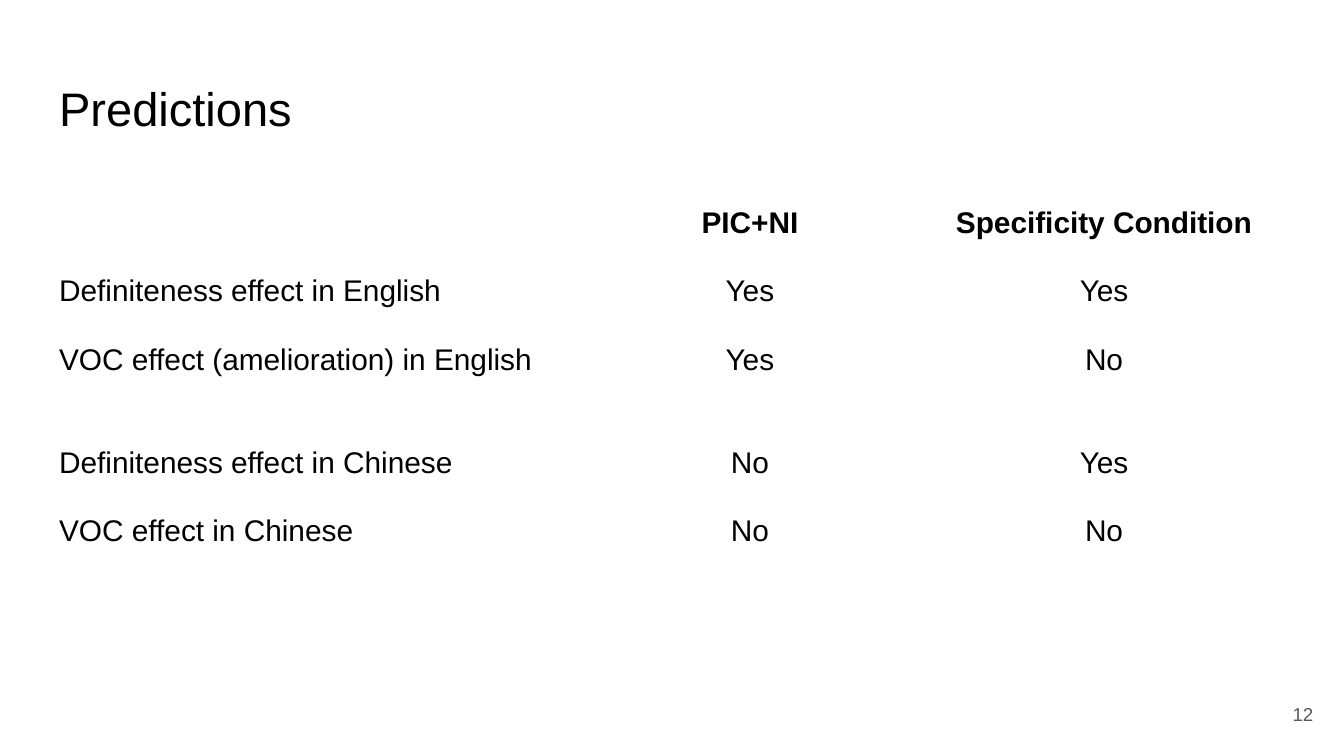
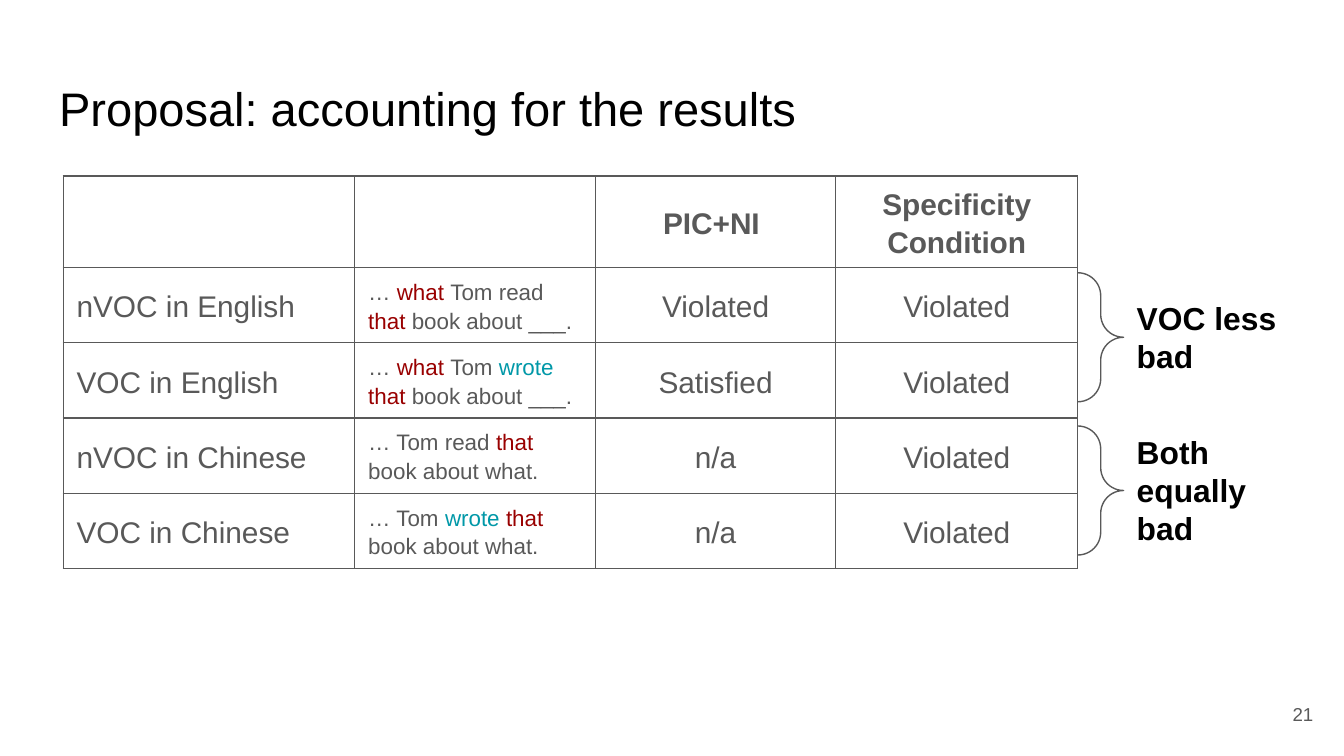
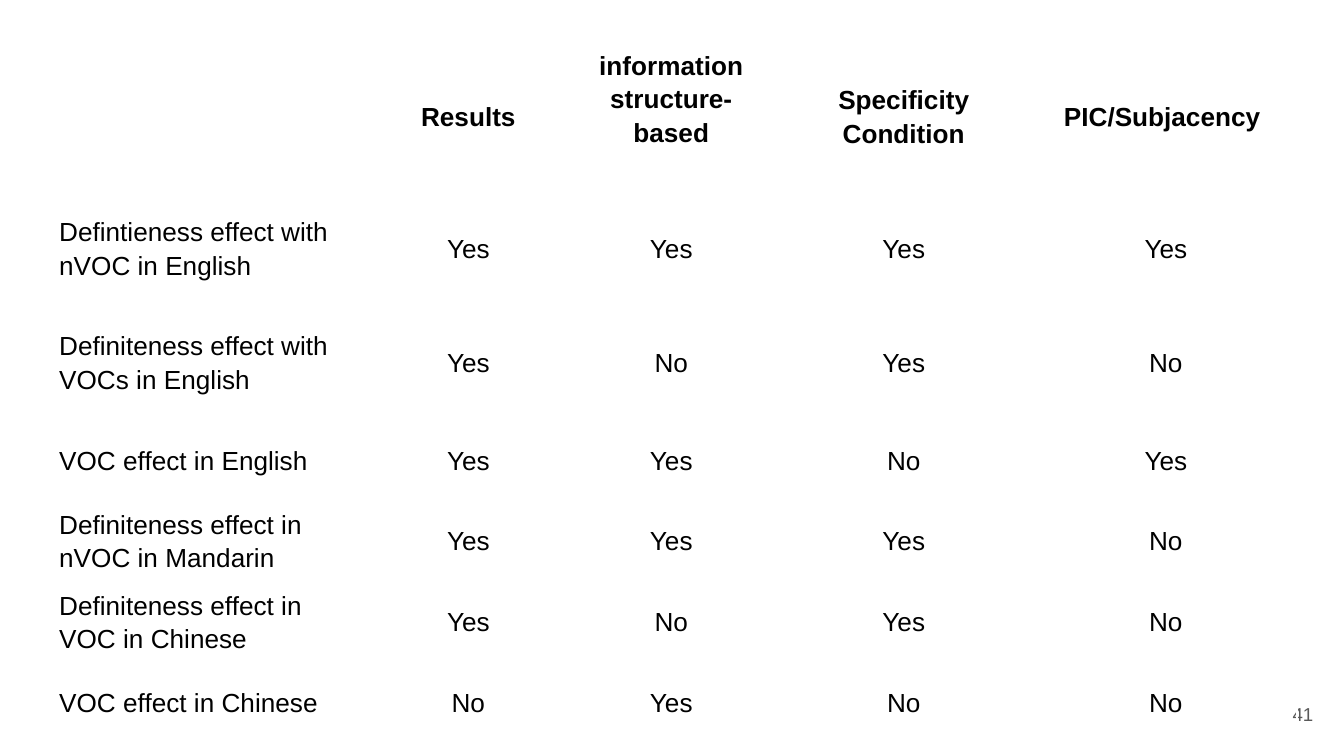
from lxml.etree import SubElement
from pptx import Presentation
from pptx.dml.color import RGBColor
from pptx.enum.shapes import MSO_SHAPE
from pptx.enum.text import MSO_ANCHOR, MSO_AUTO_SIZE, PP_ALIGN
from pptx.oxml.ns import qn
from pptx.util import Pt

PX = 9144  # 100 px to the inch
FONT = "Arial"
HUES = {"ink": "000000", "gray": "595959", "red": "990000",
        "teal": "0098A8", "white": "FFFFFF"}
LEFT, MID, RIGHT = PP_ALIGN.LEFT, PP_ALIGN.CENTER, PP_ALIGN.RIGHT


def write(item, *lines, size=16, hue="ink", bold=False, align=LEFT,
          anchor=MSO_ANCHOR.TOP, pad=(10, 10), lead=None):
    """Fill a shape or cell; a line is a string or a list of (text, hue)."""
    frame = item.text_frame
    host = item if hasattr(item, "margin_top") else frame
    host.margin_left = host.margin_right = 10 * PX
    host.margin_top, host.margin_bottom = (p * PX for p in pad)
    host.vertical_anchor = anchor
    if host is frame:
        frame.word_wrap = True
        frame.auto_size = MSO_AUTO_SIZE.NONE
    for i, line in enumerate(lines):
        para = frame.add_paragraph() if i else frame.paragraphs[0]
        para.alignment = align
        para.line_spacing = lead
        para.space_before = Pt(0)
        for text, tint in [(line, hue)] if isinstance(line, str) else line:
            for j, part in enumerate(text.split("\n")):
                if j:
                    para.add_line_break()
                run = para.add_run()
                run.text = part
                run.font.name = FONT
                run.font.size = Pt(size)
                run.font.bold = bold
                run.font.color.rgb = RGBColor.from_string(HUES[tint])


def grid(slide, left, top, cols, rows, data, edge, heavy=0, **form):
    """Add a table with a bold head row; rules under the first heavy rows are thick."""
    table = slide.shapes.add_table(
        len(rows), len(cols), left * PX, top * PX,
        sum(cols) * PX, sum(rows) * PX).table
    table.first_row = table.horz_banding = False
    for col, wide in zip(table.columns, cols):
        col.width = wide * PX
    for r, (row, high) in enumerate(zip(table.rows, rows)):
        row.height = high * PX
        for c, cell in enumerate(row.cells):
            props = cell._tc.get_or_add_tcPr()
            thick = {"T": 0 < r <= heavy, "B": r < heavy}
            for side in "LRTB":
                width = Pt(3 if thick.get(side) else 0.75)
                rule = SubElement(props, qn("a:ln" + side), w=str(width))
                fill = SubElement(rule, qn("a:solidFill"))
                SubElement(fill, qn("a:srgbClr"), val=HUES[edge])
            cell.fill.background()
            text = data[r][c]
            look = {"pad": (5, 5), "lead": 1.15, "bold": r == 0,
                    "align": MID if c else LEFT, **form}
            if isinstance(text, list):  # sample sentence
                write(cell, *text, **{**look, "size": 12, "align": LEFT})
            elif text:
                if "\n" in text:  # broken heading sits higher
                    look["pad"] = (5, 31)
                write(cell, text, **look)


deck = Presentation()
deck.slide_width = 1000 * PX
deck.slide_height = deck.slide_width * 9 // 16

# Shared title and page number
slides = []
for title, page in [("Predictions", "12"),
                    ("Proposal: accounting for the results", "21"),
                    (None, "41")]:
    slide = deck.slides.add_slide(deck.slide_layouts[5 if title else 6])
    if title:
        head = slide.shapes.title
        head.left, head.top, head.width, head.height = (
            n * PX for n in (34, 49, 932, 63))
        write(head, title, size=25.2)
    foot = slide.shapes.add_textbox(927 * PX, 510 * PX, 60 * PX, 43 * PX)
    write(foot, page, size=10, hue="gray", align=RIGHT, anchor=MSO_ANCHOR.MIDDLE)
    slides.append(slide)
guess, cause, recap = slides

# Predictions: what each account expects
grid(guess, 34, 145, [405, 238, 289], [51, 51, 77, 50, 49], [
    ["", "PIC+NI", "Specificity Condition"],
    ["Definiteness effect in English", "Yes", "Yes"],
    ["VOC effect (amelioration) in English", "Yes", "No"],
    ["Definiteness effect in Chinese", "No", "Yes"],
    ["VOC effect in Chinese", "No", "No"],
], "white", heavy=1)

# Proposal: table of sample sentences
that = [("that ", "red"), ("book about ___.", "gray")]
what = "book about what."
grid(cause, 47, 131, [217, 179, 179, 180], [68] + [56] * 4, [
    ["", "", "PIC+NI ", "Specificity Condition"],
    ["nVOC in English",
     [[("… ", "gray"), ("what ", "red"), ("Tom read", "gray")], that],
     "Violated", "Violated"],
    ["VOC in English",
     [[("… ", "gray"), ("what ", "red"), ("Tom ", "gray"), ("wrote", "teal")], that],
     "Satisfied", "Violated"],
    ["nVOC in Chinese",
     [[("… Tom read ", "gray"), ("that", "red")], what], "n/a", "Violated"],
    ["VOC in Chinese",
     [[("… Tom ", "gray"), ("wrote ", "teal"), ("that", "red")], what],
     "n/a", "Violated"],
], "gray", hue="gray", anchor=MSO_ANCHOR.MIDDLE)

# Proposal: braces and their verdicts
for top, text, y, wide, high in [(203, "VOC less bad", 212, 130, 77),
                                 (317, "Both equally bad", 312, 143, 106)]:
    brace = cause.shapes.add_shape(
        MSO_SHAPE.RIGHT_BRACE, 802 * PX, top * PX, 34 * PX, 96 * PX)
    brace.adjustments[0] = brace.adjustments[1] = 0.5
    brace.shadow.inherit = False
    brace.fill.background()
    brace.line.color.rgb = RGBColor.from_string(HUES["gray"])
    brace.line.width = Pt(0.75)
    box = cause.shapes.add_textbox(836 * PX, y * PX, wide * PX, high * PX)
    write(box, text, size=17, bold=True)

# Recap: results against each account
grid(recap, 34, 30, [239, 151, 151, 195, 195], [111, 85, 85] + [60] * 4, [
    ["", "Results", "information structure-\nbased",
     "Specificity Condition", "PIC/Subjacency "],
    ["Defintieness effect with nVOC in English", "Yes", "Yes", "Yes", "Yes"],
    ["Definiteness effect with VOCs in English", "Yes", "No", "Yes", "No"],
    ["VOC effect in English", "Yes", "Yes", "No", "Yes"],
    ["Definiteness effect in nVOC in Mandarin", "Yes", "Yes", "Yes", "No"],
    ["Definiteness effect in VOC in Chinese", "Yes", "No", "Yes", "No"],
    ["VOC effect in Chinese", "No", "Yes", "No", "No"],
], "white", heavy=2, size=14, anchor=MSO_ANCHOR.MIDDLE)

deck.save("out.pptx")
